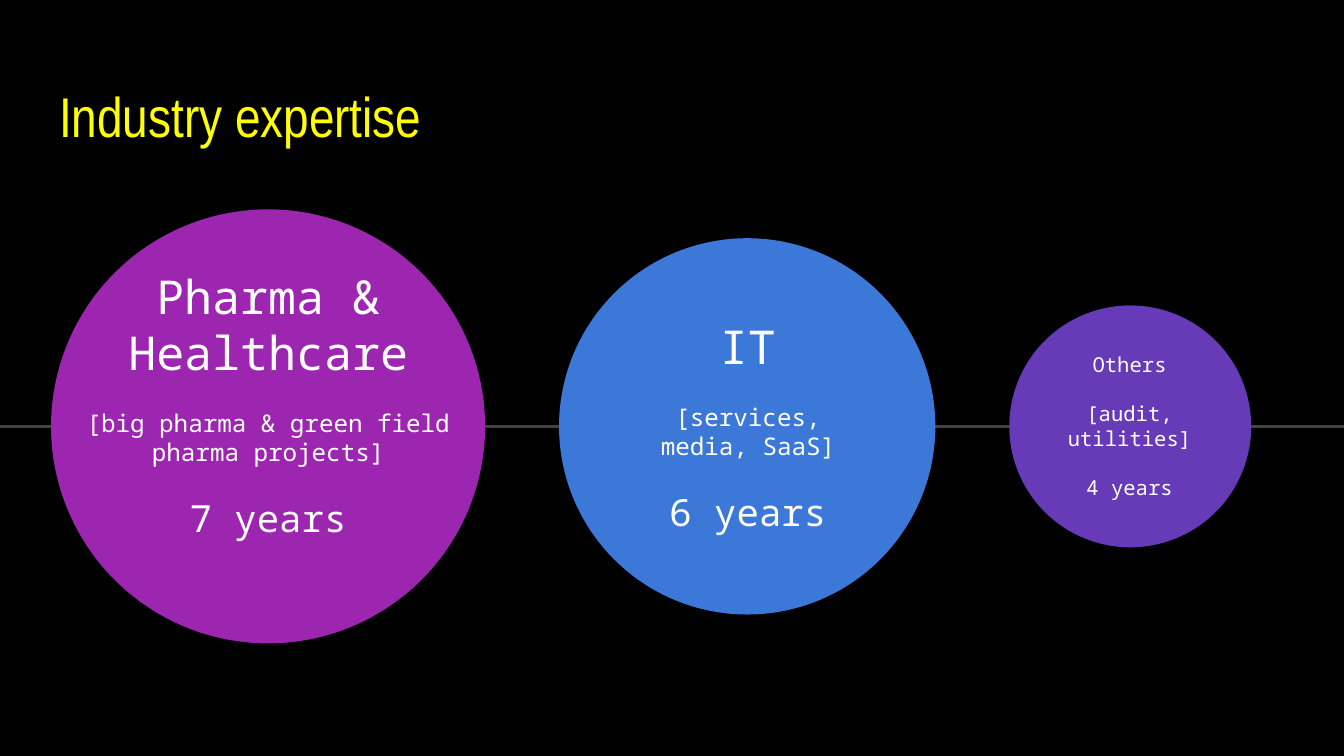
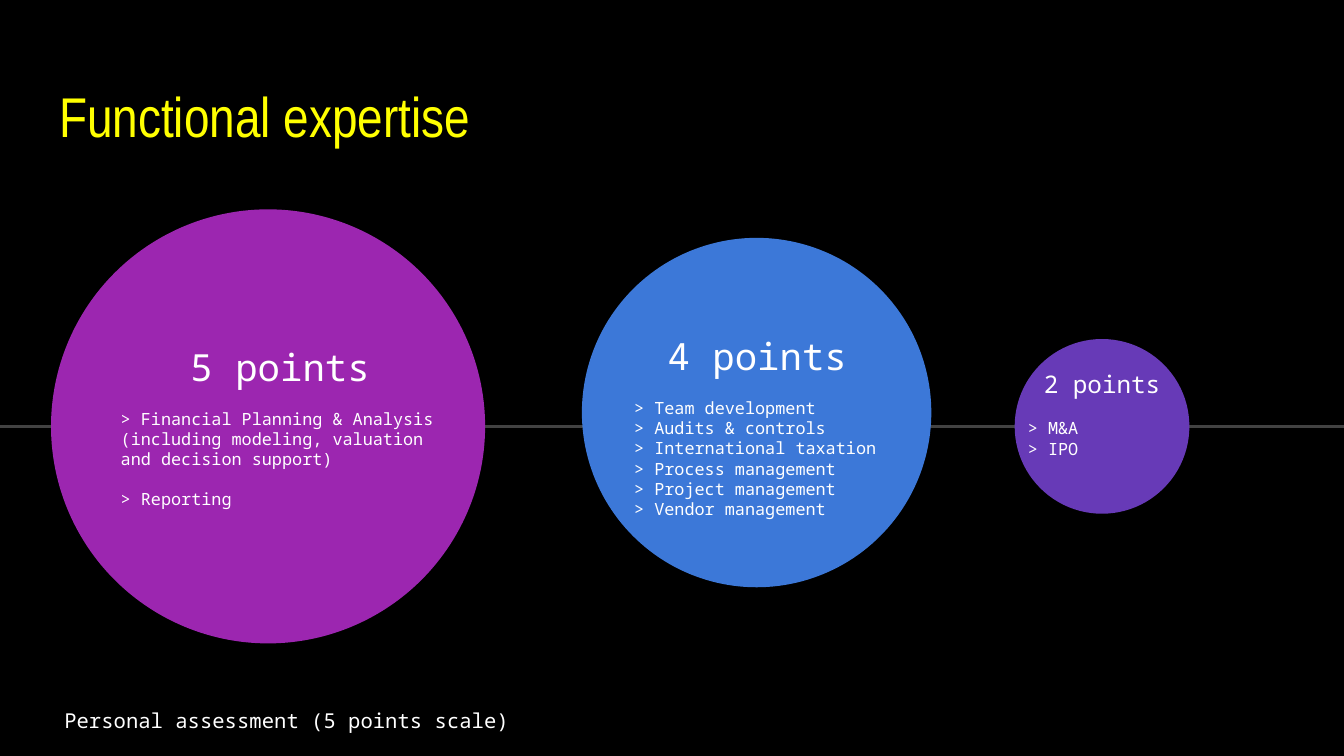
import pptx
import pptx.util
import pptx.dml.color
import pptx.enum.shapes
import pptx.enum.text
import pptx.oxml

BLACK, YELLOW, WHITE, GREY = "000000", "FFFF00", "FFFFFF", "424242"
PURPLE, BLUE, VIOLET = "9C26B0", "3C78D8", "673AB7"
HEADING_FONT, BODY_FONT = "Arial Narrow", "Noto Sans Mono"
COLUMNS = 100        # the square grid module is 1/100 of the slide width
AXIS_ROW = 31.73     # row of the line that runs through the circles
LINE_HEIGHT = 1.18   # height of a text line relative to its font size
INSET = 1

ALIGN = pptx.enum.text.PP_ALIGN
ANCHOR = pptx.enum.text.MSO_ANCHOR


def color(hex_code):
    return pptx.dml.color.RGBColor.from_string(hex_code)


def write(paragraph, text, font=BODY_FONT, size=11, fill=WHITE,
          align=ALIGN.LEFT, gap=0, spacing=1.0):
    """Write one paragraph; gap is the font size of the line left free above."""
    paragraph.alignment = align
    paragraph.line_spacing = spacing
    paragraph.space_before = pptx.util.Pt(round(gap * LINE_HEIGHT, 1))
    paragraph.space_after = pptx.util.Pt(0)
    run = paragraph.add_run()
    run.text = text
    run.font.name = font
    run.font.size = pptx.util.Pt(size)
    run.font.bold = False
    run.font.color.rgb = color(fill)


class Deck:
    """The shared style and the slide being built."""

    def __init__(self):
        self.file = pptx.Presentation()
        self.file.slide_width = pptx.util.Inches(10)
        self.file.slide_height = self.file.slide_width * 9 // 16
        background = self.file.slide_master.background.fill
        background.solid()
        background.fore_color.rgb = color(BLACK)
        self.slide = None

    def grid(self, *units):
        return [round(self.file.slide_width * unit / COLUMNS) for unit in units]

    def frame(self, shape, anchor, spare=0):
        frame = shape.text_frame
        frame.word_wrap = True
        frame.auto_size = pptx.enum.text.MSO_AUTO_SIZE.NONE
        frame.vertical_anchor = anchor
        frame.margin_left, frame.margin_top, frame.margin_right, frame.margin_bottom = (
            self.grid(INSET, INSET, INSET, INSET + spare))
        return frame

    def add_slide(self, heading):
        layout = self.file.slide_layouts.get_by_name("Title Only")
        self.slide = self.file.slides.add_slide(layout)
        title = self.slide.shapes.title
        title.left, title.top, title.width, title.height = self.grid(3.4, 4.1, 93.2, 8)
        write(self.frame(title, ANCHOR.BOTTOM).paragraphs[0], heading,
              font=HEADING_FONT, size=30, fill=YELLOW)
        self.axis()

    def axis(self):
        line = self.slide.shapes.add_connector(
            pptx.enum.shapes.MSO_CONNECTOR.STRAIGHT,
            *self.grid(-0.1, AXIS_ROW, COLUMNS, AXIS_ROW))
        line.line.color.rgb = color(GREY)
        line.line.width = pptx.util.Pt(1.5)
        line._element.spPr.append(pptx.oxml.parse_xml(
            '<a:effectLst xmlns:a="http://schemas.openxmlformats.org/drawingml/2006/main"/>'))

    def circle(self, left, diameter, fill, center=AXIS_ROW):
        disc = self.slide.shapes.add_shape(
            pptx.enum.shapes.MSO_SHAPE.OVAL,
            *self.grid(left, center - diameter / 2, diameter, diameter))
        disc.shadow.inherit = False
        disc.fill.solid()
        disc.fill.fore_color.rgb = color(fill)
        disc.line.fill.background()

    def text(self, place, lines, anchor=ANCHOR.MIDDLE, spare=0):
        """Add a text box; spare is extra room kept free at its bottom."""
        box = self.slide.shapes.add_textbox(*self.grid(*place))
        frame = self.frame(box, anchor, spare)
        for index, (wording, style) in enumerate(lines):
            paragraph = frame.add_paragraph() if index else frame.paragraphs[0]
            write(paragraph, wording, **style)


def industry_lines(name, scope, years, sizes):
    name_size, scope_size, years_size = sizes
    return [(name, dict(size=name_size, align=ALIGN.CENTER)),
            (scope, dict(size=scope_size, align=ALIGN.CENTER, gap=scope_size)),
            (years, dict(size=years_size, align=ALIGN.CENTER, gap=scope_size))]


def skill_lines(score, score_size, skills, skill_gap=0):
    lines = [(score, dict(size=score_size, align=ALIGN.CENTER))]
    for index, skill in enumerate(skills):
        lines.append(("> " + skill, dict(size=9, gap=skill_gap if index else 9)))
    return lines


def build_industry(deck):
    deck.add_slide("Industry expertise")
    large, small = (25, 13, 20), (11, 11, 11)

    # Circles sized by years of experience
    deck.circle(75.1, 18, VIOLET)
    deck.text((76.8, 28.4, 14.5, 6.6),
              industry_lines("Others", "[audit, utilities]", "4 years", small))
    deck.circle(3.8, 32.3, PURPLE)
    deck.text((3.8, 28.4, 32.3, 6.6),
              industry_lines("Pharma & Healthcare",
                             "[big pharma & green field pharma projects]",
                             "7 years", large), spare=3.3)
    deck.circle(41.6, 28, BLUE)
    deck.text((47.4, 28.4, 16.5, 6.6),
              industry_lines("IT", "[services, media, SaaS]", "6 years", large))


def build_functional(deck):
    deck.add_slide("Functional expertise")

    # Circles sized by score
    deck.circle(75.5, 13, VIOLET)
    deck.text((75.5, 28.4, 13, 6.6),
              skill_lines("2 points", 13, ["M&A", "IPO"]), spare=1.8)
    deck.circle(3.8, 32.3, PURPLE)
    deck.text((8, 26.9, 25.7, 9.7),
              skill_lines("5 points", 20,
                          ["Financial Planning & Analysis (including modeling, "
                           "valuation and decision support)", "Reporting"],
                          skill_gap=9))
    deck.circle(43.3, 26, BLUE, center=30.7)
    deck.text((46.2, 28.4, 20.3, 6.6),
              skill_lines("4 points", 20,
                          ["Team development", "Audits & controls",
                           "International taxation", "Process management",
                           "Project management", "Vendor management"]))

    # Note on the scale
    deck.text((3.8, 51.4, 40.2, 4.7),
              [("Personal assessment (5 points scale)", dict(spacing=1.15))],
              anchor=ANCHOR.TOP)


def main():
    deck = Deck()
    build_industry(deck)
    build_functional(deck)
    deck.file.save("out.pptx")


if __name__ == "__main__":
    main()
